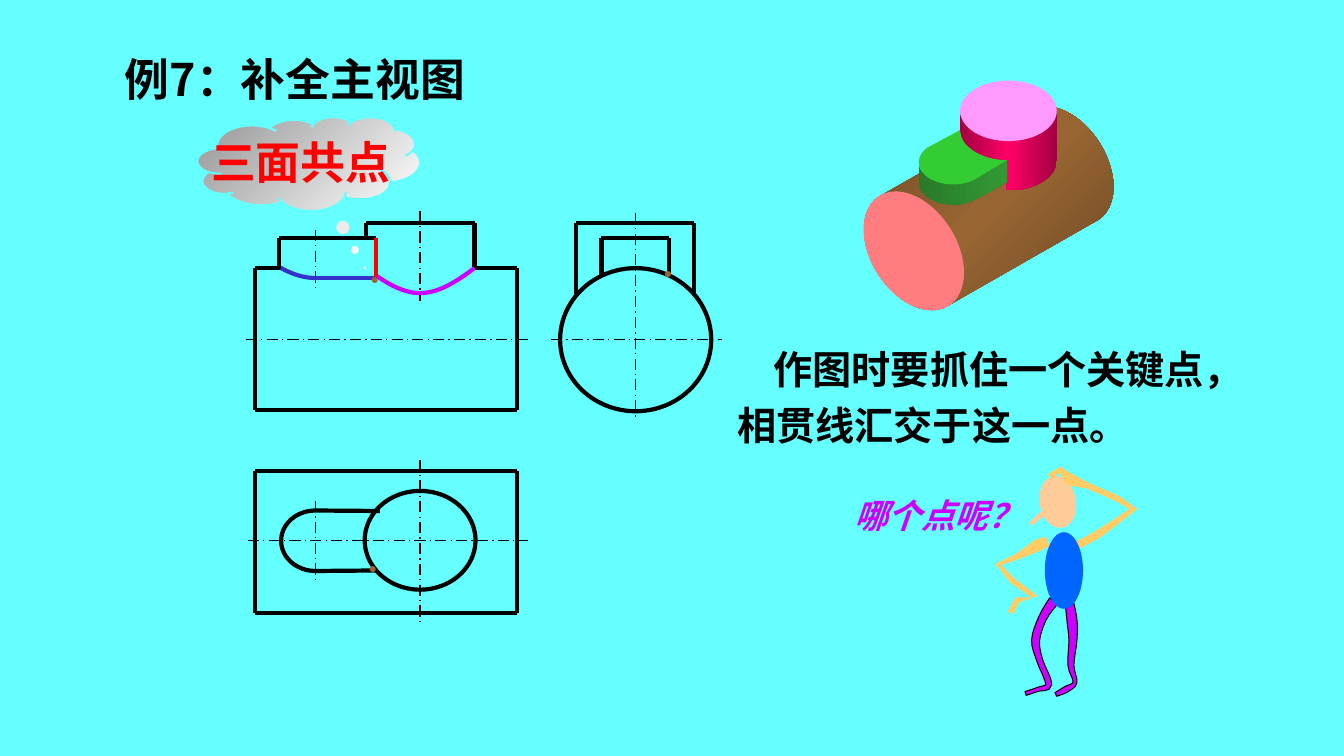
from dataclasses import dataclass, replace
from lxml.etree import SubElement
from math import cos, hypot, radians, sin, sqrt
from pptx import Presentation
from pptx.dml.color import RGBColor
from pptx.enum.dml import MSO_LINE as Dash
from pptx.enum.shapes import MSO_CONNECTOR as Link, MSO_SHAPE as Kind
from pptx.enum.text import MSO_ANCHOR as Anchor, PP_ALIGN as Align
from pptx.oxml.ns import qn
from pptx.util import Inches, Pt

HEX = {
    "sky": "66FFFF", "black": "000000", "violet": "CC00FF", "red": "FF0000",
    "navy": "3333CC", "dot": "996633", "skin": "FFCC66", "face": "FFCC99",
    "blue": "0066FF", "wine": "A20041", "rose": "FF0066", "bark": "6C4824",
    "wood": "996633", "coral": "FF7C80", "pink": "FF99FF", "moss": "297A29",
    "leaf": "339933", "green": "33CC33", "gray": "969696", "white": "FFFFFF",
}
SANS, SERIF = "Noto Sans CJK SC", "Times New Roman"


@dataclass
class Ring:
    """Ellipse by centre and radii; angles run clockwise from the right."""
    x: float
    y: float
    rx: float
    ry: float
    turn: float = 0

    def move(self, dx: float, dy: float) -> "Ring":
        return replace(self, x=self.x + dx, y=self.y + dy)

    def arc(self, start: float, end: float, steps: int = 24) -> list:
        c, s = cos(radians(self.turn)), sin(radians(self.turn))
        pts = []
        for i in range(steps + 1):
            t = radians(start + (end - start) * i / steps)
            u, v = self.rx * cos(t), self.ry * sin(t)
            pts.append((self.x + u * c - v * s, self.y + u * s + v * c))
        return pts


@dataclass
class Chain:
    """Straight lines from point to point."""
    pts: list
    color: str = "black"
    width: float = 3
    dash: bool = False


@dataclass
class Oval:
    ring: Ring
    fill: str = ""
    edge: str = ""
    width: float = 3


@dataclass
class Patch:
    """Outline; several fill colours make a gradient."""
    pts: list
    fill: tuple = ()
    angle: float = 0
    edge: str = ""
    width: float = 0.75
    close: bool = True


@dataclass
class Limb:
    """Body part along joints, each given as x, y and half width."""
    joints: list
    fill: str
    edge: str = ""
    steps: int = 1


@dataclass
class Label:
    text: str
    box: tuple
    size: float
    color: str
    font: str = SANS
    bold: bool = True
    slant: bool = False
    wrap: bool = True
    align: Align = Align.LEFT
    anchor: Anchor = Anchor.MIDDLE
    space: float = 1
    indent: float = 0


def rgb(name: str) -> RGBColor:
    return RGBColor.from_string(HEX[name])


def paint(shape, fill: tuple, edge: str = "", width: float = 0.75, angle: float = 0) -> None:
    shape.shadow.inherit = False
    if len(fill) > 1:
        shape.fill.gradient()
        shape.fill.gradient_angle = -angle % 360
        stops = shape._element.spPr.find(".//" + qn("a:gsLst"))
        stops.clear()
        for i, name in enumerate(fill):
            stop = SubElement(stops, qn("a:gs"), pos=str(100000 * i // (len(fill) - 1)))
            SubElement(stop, qn("a:srgbClr"), val=HEX[name])
    elif fill and fill[0]:
        shape.fill.solid()
        shape.fill.fore_color.rgb = rgb(fill[0])
    else:
        shape.fill.background()
    if edge:
        shape.line.color.rgb = rgb(edge)
        shape.line.width = Pt(width)
    else:
        shape.line.fill.background()


def draw_chain(shapes, item: Chain) -> None:
    for start, end in zip(item.pts, item.pts[1:]):
        line = shapes.add_connector(Link.STRAIGHT, *map(Inches, start + end))
        line.line.color.rgb = rgb(item.color)
        line.line.width = Pt(item.width)
        if item.dash:
            line.line.dash_style = Dash.LONG_DASH_DOT
        SubElement(line._element.spPr, qn("a:effectLst"))


def draw_oval(shapes, item: Oval) -> None:
    r = item.ring
    box = r.x - r.rx, r.y - r.ry, 2 * r.rx, 2 * r.ry
    shape = shapes.add_shape(Kind.OVAL, *map(Inches, box))
    shape.rotation = r.turn
    paint(shape, (item.fill,), item.edge, item.width)


def draw_patch(shapes, item: Patch) -> None:
    pts = [(Inches(x), Inches(y)) for x, y in item.pts]
    pen = shapes.build_freeform(*pts[0], scale=1.0)
    pen.add_line_segments(pts[1:], close=item.close)
    paint(pen.convert_to_shape(), item.fill, item.edge, item.width, item.angle)


def smooth(pts: list, steps: int) -> list:
    """Pass a Catmull-Rom curve through the points."""
    ends = [pts[0], *pts, pts[-1]]
    trace = []
    for a, b, c, d in zip(ends, ends[1:], ends[2:], ends[3:]):
        for t in (i / steps for i in range(steps)):
            trace.append(tuple(
                q + t / 2 * (r - p + t * (2 * p - 5 * q + 4 * r - s + t * (3 * q - p - 3 * r + s)))
                for p, q, r, s in zip(a, b, c, d)))
    return trace + [pts[-1]]


def draw_limb(shapes, item: Limb) -> None:
    """Offset the spine to both sides by its half width."""
    spine = smooth(item.joints, item.steps)
    left, right = [], []
    for back, (x, y, half), ahead in zip(spine[:1] + spine, spine, spine[1:] + spine[-1:]):
        dx, dy = ahead[0] - back[0], ahead[1] - back[1]
        scale = half / hypot(dx, dy)
        left.append((x - dy * scale, y + dx * scale))
        right.append((x + dy * scale, y - dx * scale))
    draw_patch(shapes, Patch(left + right[::-1], (item.fill,), edge=item.edge))


def write(shape, item: Label) -> None:
    frame = shape.text_frame
    frame.text = item.text
    frame.word_wrap = item.wrap
    frame.vertical_anchor = item.anchor
    para = frame.paragraphs[0]
    para.alignment, para.line_spacing = item.align, item.space
    if item.indent:
        para._p.get_or_add_pPr().set("indent", str(Inches(item.indent)))
    run = para.runs[0]
    font = run.font
    font.size, font.bold, font.italic = Pt(item.size), item.bold, item.slant
    font.color.rgb, font.name = rgb(item.color), item.font
    SubElement(run._r.rPr, qn("a:ea"), typeface=SANS)


def draw_label(shapes, item: Label) -> None:
    write(shapes.add_textbox(*map(Inches, item.box)), item)


DRAW = {Chain: draw_chain, Oval: draw_oval, Patch: draw_patch, Limb: draw_limb, Label: draw_label}


def draw(shapes, items: list) -> None:
    for item in items:
        DRAW[type(item)](shapes, item)


def row(y: float, x1: float, x2: float) -> Chain:
    return Chain([(x1, y), (x2, y)], width=1, dash=True)


def col(x: float, y1: float, y2: float) -> Chain:
    return Chain([(x, y1), (x, y2)], width=1, dash=True)


def frame(x1: float, y1: float, x2: float, y2: float) -> list:
    return [(x1, y2), (x1, y1), (x2, y1), (x2, y2)]


def seam(x: float, radius: float, depth: float, start: float, end: float, color: str) -> Patch:
    """Front view of the curve where an upright cylinder meets the lying one."""
    pts = []
    for u, z in Ring(0, 0, radius, depth).arc(start, end):
        pts.append((x + u, MID - sqrt(TUBE ** 2 - z ** 2)))
    return Patch(pts, edge=color, width=3, close=False)


def views() -> list:
    """Front, side and top views, with the seams to be added."""
    left, right, top, base = 2.53, 5.13, 2.66, 4.07
    key, boss, side = 3.13, 4.17, 6.31
    step, peak, meet = 2.36, 2.21, 3.73
    plan, plan_top, plan_base = 5.36, 4.67, 6.08
    slot_top, slot_base = 5.07, 5.66
    slot = Ring(key, (slot_top + slot_base) / 2, 0.34, 0.3).arc(270, 90)
    return [
        Chain([(2.79, top), *frame(left, top, right, base)[1::-1], (right, base),
               (right, top), (4.71, top), (4.71, peak), (3.63, peak), (3.63, step)]),
        Chain([(2.77, top), (2.77, step), (meet, step)]),
        Chain(frame(left, plan_top, right, plan_base) + [(left, plan_base)]),
        Patch([(3.77, slot_top), *slot, (3.74, slot_base)], edge="black", width=3, close=False),
        Oval(Ring(boss, plan, 0.55, 0.49), edge="black"),
        Oval(Ring(side, MID, 0.75, TUBE), edge="black"),
        Chain(frame(5.72, peak, 6.89, 2.92)), Chain(frame(5.97, step, 6.64, 2.73)),
        row(MID, 2.44, 5.25), row(MID, 5.47, 7.17), row(plan, 2.46, 5.24),
        col(side, 2.11, 4.15), col(boss, 2.09, 2.99), col(boss, 4.56, 6.19),
        col(key, 2.28, 2.85), col(key, 4.97, 5.78),
        seam(boss, 0.54, 0.54, 0, 145, "violet"), seam(key, 0.34, 0.36, 180, 90, "navy"),
        Chain([(key, 2.76), (meet, 2.76)], "navy"), Chain([(meet, 2.75), (meet, step)], "red"),
    ]


def solid() -> list:
    """Lying cylinder with a round boss and a key, each swept from a ring."""
    face = Ring(9.07, 2.49, 0.64, 0.42, 57.6)
    back = face.move(1.49, -0.85)
    disc = Ring(10.01, 1.1, 0.48, 0.3)
    foot, step = disc.move(0, 0.49), disc.move(0, 0.19)
    key = Ring(9.46, 1.61, 0.34, 0.22)
    sole = key.move(0, 0.2)
    join = step.arc(92, 180)
    boss = disc.arc(180, 0) + foot.arc(0, 92) + join
    rim = [join[0], *key.arc(47, 180), *sole.arc(180, 47), (join[0][0], 1.81)]
    return [
        Patch(back.arc(-180, 0) + face.arc(0, 180), ("bark", "wood", "bark"), 45),
        Oval(face, "coral", "coral", 0.75),
        Patch(boss, ("wine", "rose", "wine")), Oval(disc, "pink"),
        Patch(rim, ("moss", "leaf")), Patch(key.arc(220, 47) + join, ("green",)),
    ]


MID, TUBE = 3.37, 0.71
THINKER = [
    Limb([(10.4, 5.37, .05), (10.3, 5.41, .06), (10.1, 5.52, .03), (9.91, 5.6, .03), (10.05, 5.76, .03),
          (10.27, 5.92, .03), (10.1, 5.95, .03), (10.03, 6.08, .03)], "skin"),
    Limb([(10.61, 5.95, .04), (10.64, 6.15, .05), (10.65, 6.35, .04), (10.63, 6.6, .03),
          (10.67, 6.77, .02), (10.58, 6.84, .03), (10.48, 6.89, .02)], "violet", "black", 4),
    Limb([(10.46, 5.96, .05), (10.35, 6.13, .04), (10.28, 6.35, .04), (10.32, 6.55, .03),
          (10.41, 6.79, .03), (10.3, 6.84, .02), (10.18, 6.88, .02)], "violet", "black", 4),
    Limb([(10.38, 5.07, .03), (10.23, 5.2, .02)], "face"),
    Oval(Ring(10.5, 4.98, 0.18, 0.26, -10), "face"),
    Limb([(10.66, 5.43, .04), (10.9, 5.3, .04), (11.1, 5.16, .03), (11.25, 5.05, .04), (11.1, 4.95, .03),
          (10.8, 4.82, .03), (10.62, 4.76, .06), (10.52, 4.66, .03), (10.42, 4.73, .03)], "skin"),
    Label("哪个点呢？", (8.38, 4.86, 1.62, 0.41), 24, "violet", slant=True, wrap=False, anchor=Anchor.TOP),
    Oval(Ring(10.56, 5.66, 0.19, 0.38), "blue"),
]
DOTS = [Label("●", (x, y, 0.28, 0.27), 10, "dot", SERIF, False, wrap=False, align=Align.CENTER)
        for x, y in ((3.58, 2.63), (3.56, 5.5), (6.49, 2.57))]
NOTE = Label("作图时要抓住一个关键点，相贯线汇交于这一点。", (7.22, 3.28, 5.58, 1.22), 28, "black", space=1.2, indent=0.36)
TITLE = Label("例7：补全主视图", (1.14, 0.46, 3.78, 0.64), 32, "black")
CLOUD = Label("三面共点", (1.96, 1.16, 2.21, 0.93), 32, "red", SERIF, wrap=False, align=Align.CENTER)


def main() -> None:
    deck = Presentation()
    deck.slide_width, deck.slide_height = Inches(13.34), Inches(7.5)
    slide = deck.slides.add_slide(deck.slide_layouts[6])
    slide.background.fill.solid()
    slide.background.fill.fore_color.rgb = rgb("sky")
    shapes = slide.shapes
    draw(shapes.add_group_shape().shapes, views())
    draw(shapes, DOTS + [NOTE])
    for figure in (THINKER, solid()):
        draw(shapes.add_group_shape().shapes, figure)
    draw(shapes, [TITLE])
    cloud = shapes.add_shape(Kind.CLOUD_CALLOUT, *map(Inches, CLOUD.box))
    cloud.adjustments[0], cloud.adjustments[1] = 0.25, 1.11
    paint(cloud, ("gray", "white"), "sky", 1.5, 45)
    write(cloud, CLOUD)
    deck.save("out.pptx")


if __name__ == "__main__":
    main()
